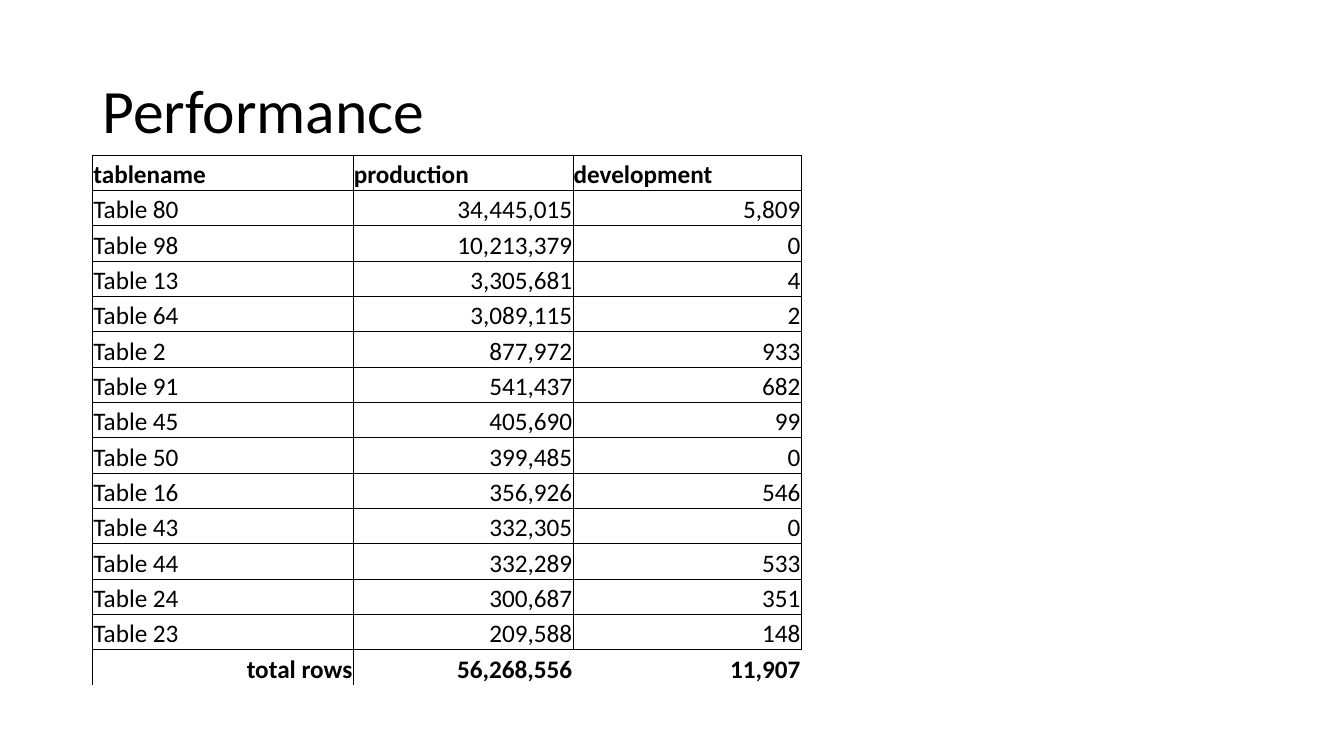
from dataclasses import dataclass

from lxml import etree
from pptx import Presentation
from pptx.dml.color import RGBColor
from pptx.enum.text import MSO_ANCHOR, PP_ALIGN
from pptx.oxml.ns import qn
from pptx.util import Pt

LEFT, RIGHT = PP_ALIGN.LEFT, PP_ALIGN.RIGHT
MIDDLE, BOTTOM = MSO_ANCHOR.MIDDLE, MSO_ANCHOR.BOTTOM
TITLE_ONLY = 5


@dataclass(frozen=True)
class Theme:
    font: str = "Calibri"
    ink: str = "000000"
    title: float = 44
    body: float = 18
    rule: float = 0.5


@dataclass(frozen=True)
class Count:
    """One table row: a table's name and its row counts."""
    name: str
    prod: str
    dev: str


THEME = Theme()
HEAD = Count("tablename", "production", "development")
COUNTS = [
    Count("Table 80", "34,445,015", "5,809"),
    Count("Table 98", "10,213,379", "0"),
    Count("Table 13", "3,305,681", "4"),
    Count("Table 64", "3,089,115", "2"),
    Count("Table 2", "877,972", "933"),
    Count("Table 91", "541,437", "682"),
    Count("Table 45", "405,690", "99"),
    Count("Table 50", "399,485", "0"),
    Count("Table 16", "356,926", "546"),
    Count("Table 43", "332,305", "0"),
    Count("Table 44", "332,289", "533"),
    Count("Table 24", "300,687", "351"),
    Count("Table 23", "209,588", "148"),
]
TOTAL = Count("total rows", "56,268,556", "11,907")
TOTAL_RULES = ["LRT", "LT", "T"]
WIDTHS = [186, 157, 163]
ROW_HIGH = 25.25
CELL_FORMAT = {
    "vertical_anchor": BOTTOM,
    "margin_left": Pt(0.5),
    "margin_right": Pt(0.5),
    "margin_top": Pt(0.5),
    "margin_bottom": Pt(0),
}
TABLE_FORMAT = {"first_row": False, "horz_banding": False}


def set_all(item, values: dict) -> None:
    for name, value in values.items():
        setattr(item, name, value)


def set_text(frame, text: str, size: float, bold: bool, align) -> None:
    line = frame.paragraphs[0]
    line.alignment = align
    run = line.add_run()
    run.text = text
    set_all(run.font, {"name": THEME.font, "size": Pt(size), "bold": bold})
    run.font.color.rgb = RGBColor.from_string(THEME.ink)


def set_rules(cell, sides: str) -> None:
    """Rule the given sides of a cell and clear the others."""
    props = cell._tc.get_or_add_tcPr()
    for place, side in enumerate("LRTB"):
        rule = etree.Element(qn(f"a:ln{side}"), w=str(Pt(THEME.rule)))
        props.insert(place, rule)
        if side in sides:
            fill = etree.SubElement(rule, qn("a:solidFill"))
            etree.SubElement(fill, qn("a:srgbClr"), val=THEME.ink)
        else:
            etree.SubElement(rule, qn("a:noFill"))


def add_title(slide, text: str) -> None:
    title = slide.shapes.title
    set_all(title, {"left": Pt(66), "top": Pt(28.75),
                    "width": Pt(828), "height": Pt(104.5)})
    frame = title.text_frame
    set_all(frame, {"vertical_anchor": MIDDLE, "word_wrap": True})
    set_text(frame, text, THEME.title, False, LEFT)
    frame.paragraphs[0].line_spacing = 0.9


def add_counts(slide) -> None:
    rows = [HEAD, *COUNTS, TOTAL]
    table = slide.shapes.add_table(
        len(rows), len(WIDTHS), Pt(66.25), Pt(110.75),
        Pt(sum(WIDTHS)), Pt(ROW_HIGH * len(rows))).table
    set_all(table, TABLE_FORMAT)
    for column, width in zip(table.columns, WIDTHS):
        column.width = Pt(width)
    for line, count in zip(table.rows, rows):
        line.height = Pt(ROW_HIGH)
        texts = [count.name, count.prod, count.dev]
        for col, (cell, text) in enumerate(zip(line.cells, texts)):
            right = count is TOTAL or (col > 0 and count is not HEAD)
            bold = count is HEAD or count is TOTAL
            set_all(cell, CELL_FORMAT)
            cell.fill.background()
            set_text(cell.text_frame, text, THEME.body, bold,
                     RIGHT if right else LEFT)
            set_rules(cell, TOTAL_RULES[col] if count is TOTAL else "LRTB")


def main() -> None:
    deck = Presentation()
    set_all(deck, {"slide_width": Pt(960), "slide_height": Pt(540)})
    slide = deck.slides.add_slide(deck.slide_layouts[TITLE_ONLY])
    add_title(slide, "Performance")
    add_counts(slide)
    deck.save("out.pptx")


if __name__ == "__main__":
    main()
